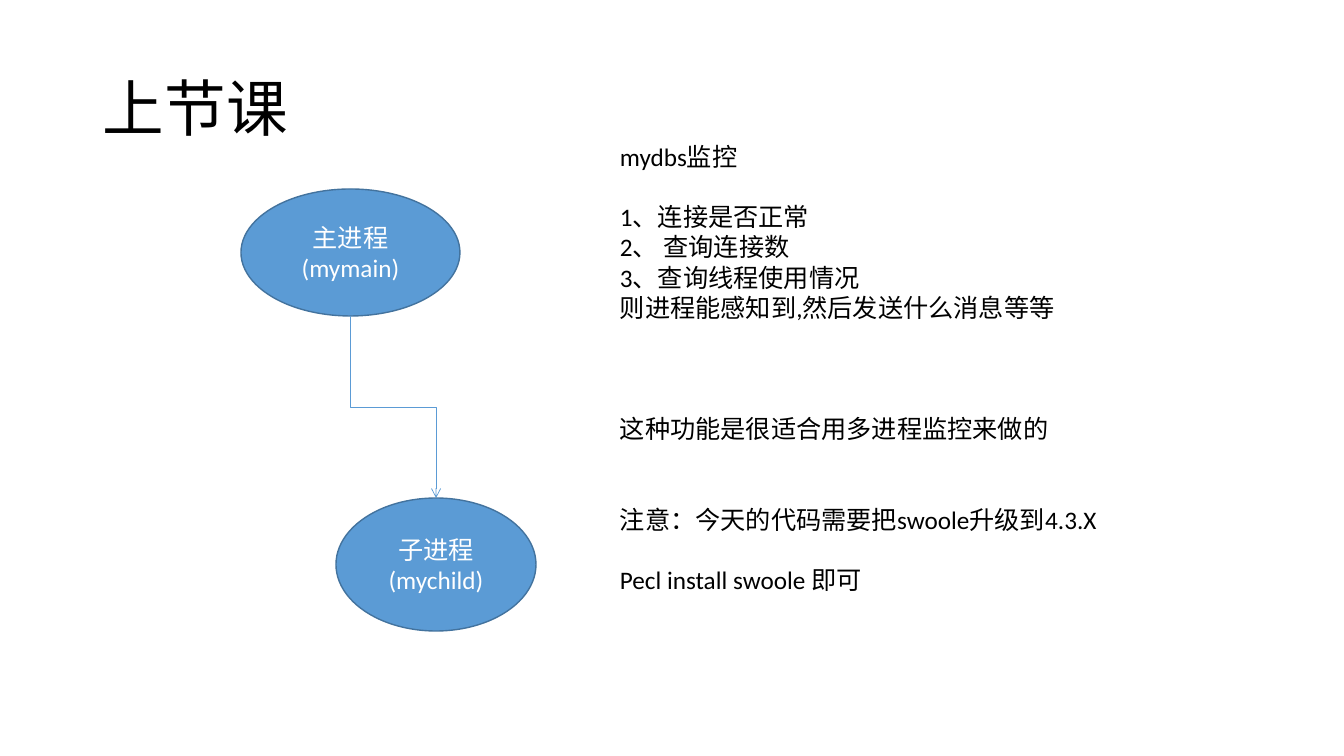
"""Build the lesson recap slide with its process diagram and monitoring notes."""
import pptx
import pptx.util
import pptx.dml.color
import pptx.enum.shapes
import pptx.enum.text
import pptx.oxml
import pptx.oxml.ns
import lxml.etree

SCALE = 914400 / 100.8
COLORS = {"text": "000000", "light": "FFFFFF", "process": "5B9BD5", "outline": "43739E"}
FONT = "Calibri"
LINE_POINTS = 21.6
ALIGN = pptx.enum.text.PP_ALIGN
ANCHOR = pptx.enum.text.MSO_ANCHOR
NOTES = [
    ("mydbs监控", 0),
    ("1、连接是否正常", 1),
    ("2、 查询连接数", 0),
    ("3、查询线程使用情况", 0),
    ("则进程能感知到,然后发送什么消息等等", 0),
    ("这种功能是很适合用多进程监控来做的", 3),
    ("注意：今天的代码需要把swoole升级到4.3.X", 2),
    ("Pecl install swoole 即可", 1),
]


def pixels(*values):
    return [pptx.util.Emu(round(value * SCALE)) for value in values]


def color(name):
    return pptx.dml.color.RGBColor.from_string(COLORS[name])


def write_lines(shape, lines, size, ink, align, anchor):
    """Fill a shape with (text, skipped lines above) pairs."""
    frame = shape.text_frame
    frame.word_wrap = True
    frame.vertical_anchor = anchor
    for index, (text, skipped) in enumerate(lines):
        para = frame.add_paragraph() if index else frame.paragraphs[0]
        para.text = text
        para.alignment = align
        para.space_before = pptx.util.Pt(skipped * LINE_POINTS)
        para.font.name = FONT
        para.font.size = pptx.util.Pt(size)
        para.font.color.rgb = color(ink)
    return frame


def add_text(page, bounds, lines, size, align, anchor):
    box = page.shapes.add_textbox(*pixels(*bounds))
    return write_lines(box, lines, size, "text", align, anchor)


def add_process(page, bounds, label, name):
    oval = page.shapes.add_shape(pptx.enum.shapes.MSO_SHAPE.OVAL, *pixels(*bounds))
    oval.shadow.inherit = False
    oval.fill.solid()
    oval.fill.fore_color.rgb = color("process")
    oval.line.color.rgb = color("outline")
    oval.line.width = pptx.util.Pt(1)
    write_lines(oval, [(label, 0), (name, 0)], 18, "light", ALIGN.CENTER, ANCHOR.MIDDLE)


def add_elbow_arrow(page, start, end):
    """Draw a down, right, down arrow as an elbow turned a quarter left."""
    middle_x, middle_y = (start[0] + end[0]) / 2, (start[1] + end[1]) / 2
    half_run, half_rise = (end[1] - start[1]) / 2, (end[0] - start[0]) / 2
    arrow = page.shapes.add_connector(
        pptx.enum.shapes.MSO_CONNECTOR.ELBOW,
        *pixels(middle_x + half_run, middle_y - half_rise,
                middle_x - half_run, middle_y + half_rise))
    arrow.line.color.rgb = color("process")
    arrow.line.width = pptx.util.Pt(0.5)
    properties = arrow._element.spPr
    properties.xfrm.set("rot", str(270 * 60000))
    qualified = pptx.oxml.ns.qn
    lxml.etree.SubElement(properties.find(qualified("a:ln")), qualified("a:tailEnd"), type="arrow")
    lxml.etree.SubElement(properties, qualified("a:effectLst"))


def main():
    deck = pptx.Presentation()
    deck.slide_width, deck.slide_height = pixels(1344, 756)
    page = deck.slides.add_slide(deck.slide_layouts[6])
    title = add_text(page, (93, 38, 1159, 146), [("上节课", 0)], 44, ALIGN.JUSTIFY, ANCHOR.MIDDLE)
    title.paragraphs[0].line_spacing = 0.9
    add_process(page, (241, 189, 219, 127), "主进程", "(mymain)")
    add_elbow_arrow(page, (350, 316), (436, 498))
    add_process(page, (336, 498, 200, 133), "子进程", "(mychild)")
    add_text(page, (610, 136, 500, 468), NOTES, 18, ALIGN.LEFT, ANCHOR.TOP)
    deck.save("out.pptx")


if __name__ == "__main__":
    main()
